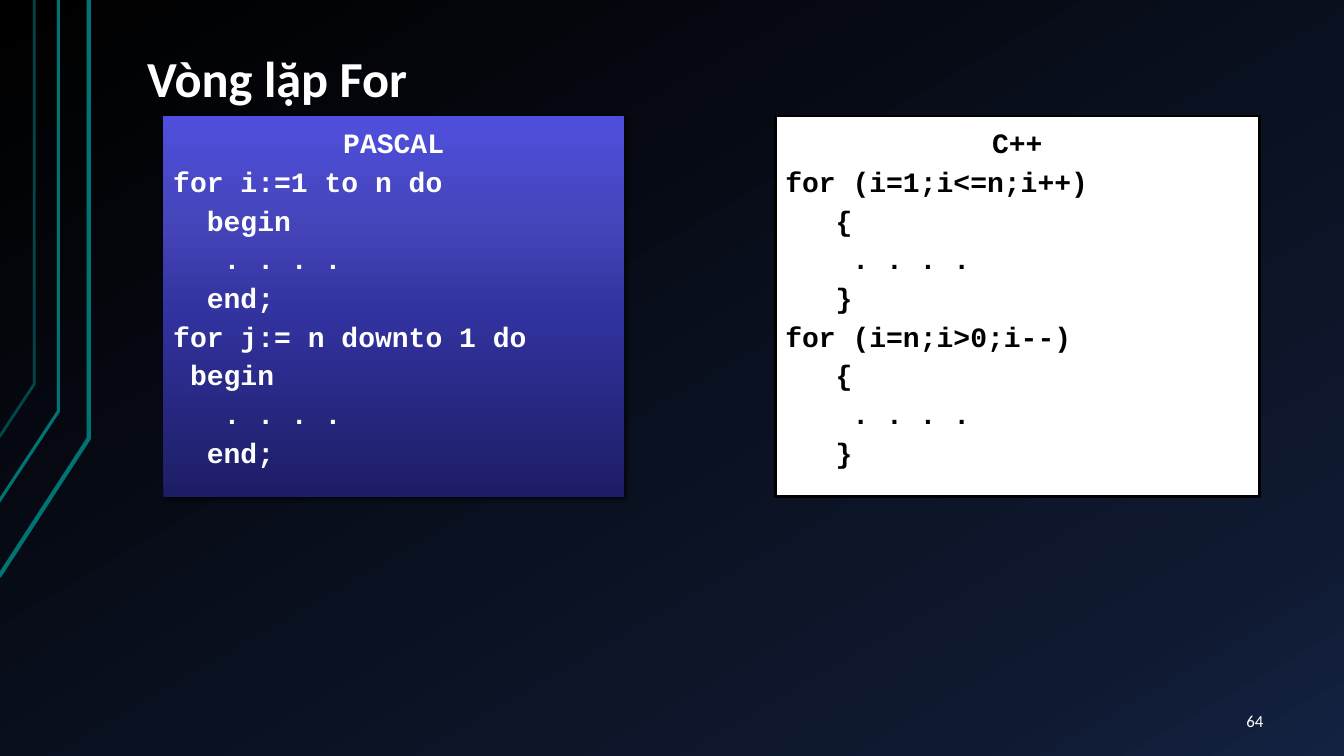
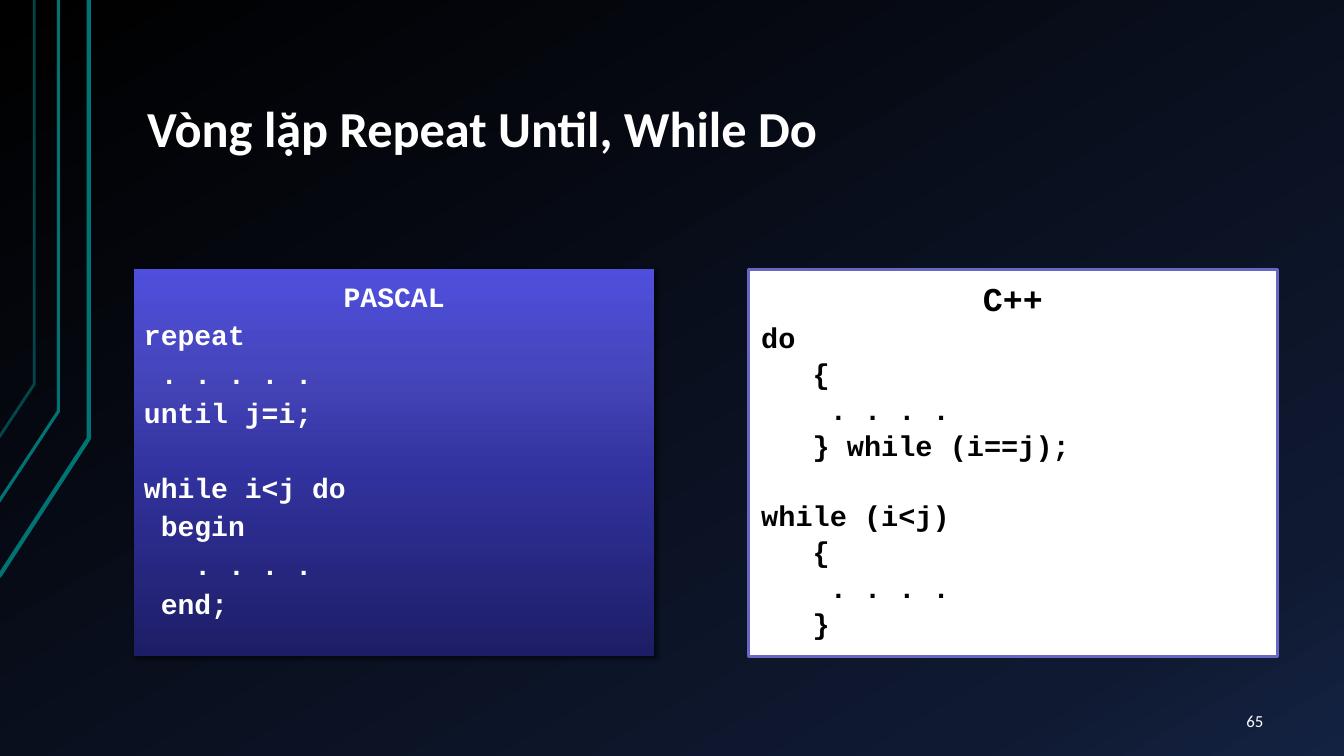
from lxml import etree
from pptx import Presentation
from pptx.dml.color import RGBColor as RGB
from pptx.enum.shapes import MSO_SHAPE as Shape
from pptx.enum.text import MSO_ANCHOR as Anchor, PP_ALIGN as Align
from pptx.oxml.ns import qn
from pptx.util import Inches, Pt

WHITE = RGB(255, 255, 255)
BLACK = RGB(0, 0, 0)
TEAL = RGB(0x00, 0x73, 0x73)
VIOLET = RGB(0x68, 0x68, 0xC4)
NIGHT = [(0, "000000"), (85, "0F1931"), (100, "142242")]
INDIGO = [(0, "1D1D66"), (50, "3333A1"), (70, "4444B8"), (100, "4F4FDD")]
SANS, MONO = "Calibri", "Courier New"
WIDE = (0.13, 0.07)
SLIM = (0.1, 0.05)

# Outline points, line width, opacity
RAILS = [
    ([(-0.01, 5.72), (0.88, 4.35), (0.88, 0)], 3, 100),
    ([(-0.02, 4.99), (0.58, 4.08), (0.58, 0)], 2.25, 100),
    ([(-0.01, 4.34), (0.34, 3.81), (0.34, 0)], 2, 60),
]

# Code lines: indent in characters, text; None leaves a gap of one line
FOR_PAS = [(0, "for i:=1 to n do"), (2, "begin"), (3, ". . . ."), (2, "end;"),
           (0, "for j:= n downto 1 do"), (1, "begin"), (3, ". . . ."),
           (2, "end;")]
FOR_CPP = [(0, "for (i=1;i<=n;i++)"), (3, "{"), (4, ". . . ."), (3, "}"),
           (0, "for (i=n;i>0;i--)"), (3, "{"), (4, ". . . ."), (3, "}")]
LOOP_PAS = [(0, "repeat"), (1, ". . . . ."), (0, "until j=i;"), None,
            (0, "while i<j do"), (1, "begin"), (3, ". . . ."), (1, "end;")]
LOOP_CPP = [(0, "do"), (3, "{"), (4, ". . . ."), (3, "} while (i==j);"), None,
            (0, "while (i<j)"), (3, "{"), (4, ". . . ."), (3, "}")]

# Panel: box, heading, heading size, code size, spacing, insets, border, code
SLIDES = [
    ("Vòng lặp For", 0.85, 64, [
        ((1.62, 1.15, 4.57, 3.78), "PASCAL", 20, 20, 1.15, SLIM, None, FOR_PAS),
        ((7.69, 1.15, 4.8, 3.78), "C++", 20, 20, 1.15, SLIM, BLACK, FOR_CPP),
    ]),
    ("Vòng lặp Repeat Until, While Do", 1.34, 65, [
        ((1.33, 2.67, 5.16, 3.84), "PASCAL", 20, 20, 1.15, SLIM, None, LOOP_PAS),
        ((7.42, 2.67, 5.25, 3.84), "C++", 23.8, 20.4, 1.05, WIDE, VIOLET,
         LOOP_CPP),
    ]),
]


def shade(owner, stops, angle):
    """Replace the stops of the owner's gradient fill."""
    grad = owner.element.find(".//" + qn("a:gradFill"))
    for child in list(grad):
        grad.remove(child)
    row = etree.SubElement(grad, qn("a:gsLst"))
    for pos, tone in stops:
        stop = etree.SubElement(row, qn("a:gs"), pos=str(pos * 1000))
        etree.SubElement(stop, qn("a:srgbClr"), val=tone)
    etree.SubElement(grad, qn("a:lin"), ang=str(angle * 60000), scaled="0")


def write(shape, lines, insets, anchor):
    """Fill a shape with (text, size, font, bold, colour, align, spacing, indent, gap) lines."""
    frame = shape.text_frame
    frame.word_wrap = True
    frame.vertical_anchor = anchor
    frame.margin_left = frame.margin_right = Inches(insets[0])
    frame.margin_top = frame.margin_bottom = Inches(insets[1])
    for i, line in enumerate(lines):
        text, size, face, bold, tone, align, pitch, indent, gap = line
        para = frame.add_paragraph() if i else frame.paragraphs[0]
        para.alignment = align
        para.line_spacing = pitch
        para.space_before = Pt(gap)
        props = para._p.get_or_add_pPr()
        props.set("marL", str(Inches(indent)))
        props.set("indent", "0")
        run = para.add_run()
        run.text = text
        font = run.font
        font.size, font.name, font.bold = Pt(size), face, bold
        font.color.rgb = tone


prs = Presentation()
prs.slide_width, prs.slide_height = Inches(13.33), Inches(7.5)
master = prs.slide_master
master.background.fill.gradient()
shade(master, NIGHT, 60)

for title, height, number, panels in SLIDES:
    shapes = prs.slides.add_slide(prs.slide_layouts[6]).shapes

    for points, width, alpha in RAILS:
        spots = [(Inches(x), Inches(y)) for x, y in points]
        pen = shapes.build_freeform(*spots[0])
        pen.add_line_segments(spots[1:], close=False)
        rail = pen.convert_to_shape()
        rail.shadow.inherit = False
        rail.fill.background()
        rail.line.color.rgb = TEAL
        rail.line.width = Pt(width)
        if alpha < 100:
            ink = rail.element.find(".//" + qn("a:ln")).find(".//" + qn("a:srgbClr"))
            etree.SubElement(ink, qn("a:alpha"), val=str(alpha * 1000))

    head = shapes.add_textbox(Inches(1.33), Inches(0.3), Inches(11.33), Inches(height))
    write(head, [(title, 36, SANS, True, WHITE, Align.LEFT, 0.9, 0, 0)],
          WIDE, Anchor.BOTTOM)

    for box, label, big, size, pitch, insets, border, code in panels:
        panel = shapes.add_shape(Shape.RECTANGLE, *[Inches(v) for v in box])
        panel.shadow.inherit = False
        if border is None:
            tone = WHITE
            panel.fill.gradient()
            shade(panel, INDIGO, 270)
            panel.line.fill.background()
            glow = etree.SubElement(
                panel.element.find(".//" + qn("a:effectLst")), qn("a:outerShdw"),
                blurRad=str(Pt(3)), dist=str(Pt(2)), dir=str(45 * 60000),
                algn="ctr", rotWithShape="0")
            dark = etree.SubElement(glow, qn("a:srgbClr"), val="000000")
            etree.SubElement(dark, qn("a:alpha"), val="60000")
        else:
            tone = BLACK
            panel.fill.solid()
            panel.fill.fore_color.rgb = WHITE
            panel.line.color.rgb = border
            panel.line.width = Pt(2)

        lines = [(label, big, MONO, True, tone, Align.CENTER, pitch, 0, 0)]
        gap = 0
        for item in code:
            if item is None:
                gap = size * pitch * 1.13
                continue
            count, text = item
            indent = count * size * 0.6 / 72
            lines.append((text, size, MONO, True, tone, Align.LEFT, pitch, indent, gap))
            gap = 0
        write(panel, lines, insets, Anchor.TOP)

    foot = shapes.add_textbox(Inches(11.55), Inches(6.95), Inches(1.11), Inches(0.4))
    write(foot, [(str(number), 12, SANS, False, WHITE, Align.RIGHT, 1.0, 0, 0)],
          WIDE, Anchor.MIDDLE)

prs.save("out.pptx")
